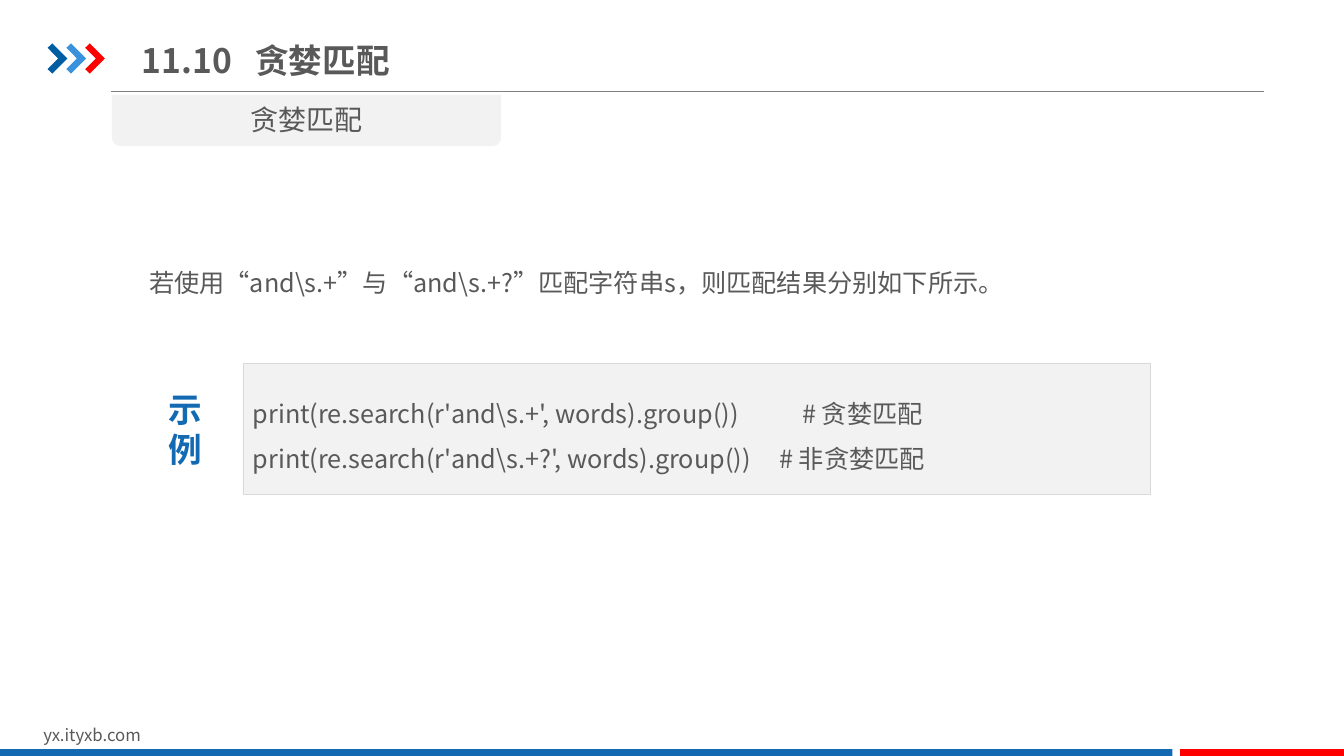
from dataclasses import dataclass

from lxml import etree
from pptx import Presentation
from pptx import util as u
from pptx.dml.color import RGBColor
from pptx.enum import shapes, text
from pptx.oxml import ns


@dataclass(frozen=True)
class Theme:
    font: str = "Noto Sans CJK SC"
    ink: str = "595959"
    blue: str = "1369B2"
    navy: str = "005DA2"
    sky: str = "3992DB"
    red: str = "FF0000"
    panel: str = "F2F2F2"
    border: str = "D9D9D9"
    rule: str = "808080"
    title: int = 24
    subtitle: int = 20
    body: int = 18
    footer: int = 12


def rgb(value):
    return RGBColor.from_string(value)


def write(tf, lines, *, font, size, color, bold=False, align="LEFT",
          anchor="TOP", spacing=None, tabs=()):
    tf.word_wrap = True
    tf.vertical_anchor = getattr(text.MSO_ANCHOR, anchor)
    for i, line in enumerate(lines):
        p = tf.add_paragraph() if i else tf.paragraphs[0]
        if tabs:
            stops = etree.SubElement(p._p.get_or_add_pPr(), ns.qn("a:tabLst"))
            etree.SubElement(stops, ns.qn("a:tab"), pos=str(u.Pt(tabs[i])), algn="l")
        p.alignment = getattr(text.PP_ALIGN, align)
        if spacing:
            p.line_spacing = spacing
        r = p.add_run()
        r.text = line
        r.font.name = font
        r.font.size = u.Pt(size)
        r.font.bold = bold
        r.font.color.rgb = rgb(color)
        etree.SubElement(r._r.get_or_add_rPr(), ns.qn("a:ea"), typeface=font)


class Deck:
    def __init__(self, theme):
        self.theme = theme
        self.prs = Presentation()
        self.prs.slide_width = u.Pt(960)
        self.prs.slide_height = u.Pt(540)
        self.s = self.prs.slides.add_slide(self.prs.slide_layouts[6])

    def paint(self, sp, fill, line=None):
        sp.shadow.inherit = False
        sp.fill.solid()
        sp.fill.fore_color.rgb = rgb(fill)
        if line:
            sp.line.color.rgb = rgb(line)
            sp.line.width = u.Pt(0.25)
        else:
            sp.line.fill.background()

    def shape(self, x, y, w, h, fill, line=None, kind="RECTANGLE"):
        sp = self.s.shapes.add_shape(getattr(shapes.MSO_SHAPE, kind),
                                     u.Pt(x), u.Pt(y), u.Pt(w), u.Pt(h))
        self.paint(sp, fill, line)
        return sp

    def text(self, x, y, w, h, *lines, **style):
        sp = self.s.shapes.add_textbox(u.Pt(x), u.Pt(y), u.Pt(w), u.Pt(h))
        self.fill_text(sp, *lines, **style)

    def fill_text(self, sp, *lines, **style):
        base = dict(font=self.theme.font, size=self.theme.body, color=self.theme.ink)
        write(sp.text_frame, lines, **{**base, **style})

    def rule(self, x1, x2, y):
        c = self.s.shapes.add_connector(shapes.MSO_CONNECTOR.STRAIGHT,
                                        u.Pt(x1), u.Pt(y), u.Pt(x2), u.Pt(y))
        c.line.color.rgb = rgb(self.theme.rule)
        c.line.width = u.Pt(0.75)
        etree.SubElement(c._element.spPr, ns.qn("a:effectLst"))

    def chevron(self, x, y, fill):
        outline = [(0, 3.2), (3.4, 0), (14.2, 10.8), (3.4, 21.6), (0, 18.4), (7.6, 10.8)]
        start, *rest = [(u.Pt(x + dx), u.Pt(y + dy)) for dx, dy in outline]
        fb = self.s.shapes.build_freeform(*start, scale=1.0)
        fb.add_line_segments(rest, close=True)
        self.paint(fb.convert_to_shape(), fill)


def main():
    t = Theme()
    deck = Deck(t)

    deck.rule(79.2, 903, 65.5)
    for i, color in enumerate((t.navy, t.sky, t.red)):
        deck.chevron(34 + 13.4 * i, 31, color)
    deck.text(23.8, 514, 229, 21.6, "yx.ityxb.com", size=t.footer)
    deck.shape(0, 535, 837.4, 6.5, t.blue)
    deck.shape(843, 535, 117, 6.5, t.red)

    deck.text(99.4, 176.4, 763, 39.6,
              "若使用“and\\s.+”与“and\\s.+?”匹配字符串s，则匹配结果分别如下所示。",
              spacing=1.5)

    code = deck.shape(173.5, 259.2, 648, 93.6, t.panel, t.border)
    deck.fill_text(code,
                   "print(re.search(r'and\\s.+', words).group())\t# 贪婪匹配",
                   "print(re.search(r'and\\s.+?', words).group())\t# 非贪婪匹配",
                   anchor="MIDDLE", spacing=1.5, tabs=(392.5, 376))
    deck.text(113, 274.3, 38.9, 65.5, "示", "例",
              size=t.title, color=t.blue, bold=True, align="CENTER")

    deck.text(94.3, 20.9, 456.5, 43.9, "11.10\t贪婪匹配",
              size=t.title, bold=True, anchor="MIDDLE", tabs=(81,))
    tab = deck.shape(79.9, 67.7, 278, 36.7, t.panel, kind="ROUND_2_SAME_RECTANGLE")
    tab.rotation = 180
    deck.text(79.9, 69.8, 278, 31.7, "贪婪匹配", size=t.subtitle, align="CENTER")

    deck.prs.save("out.pptx")


if __name__ == "__main__":
    main()
